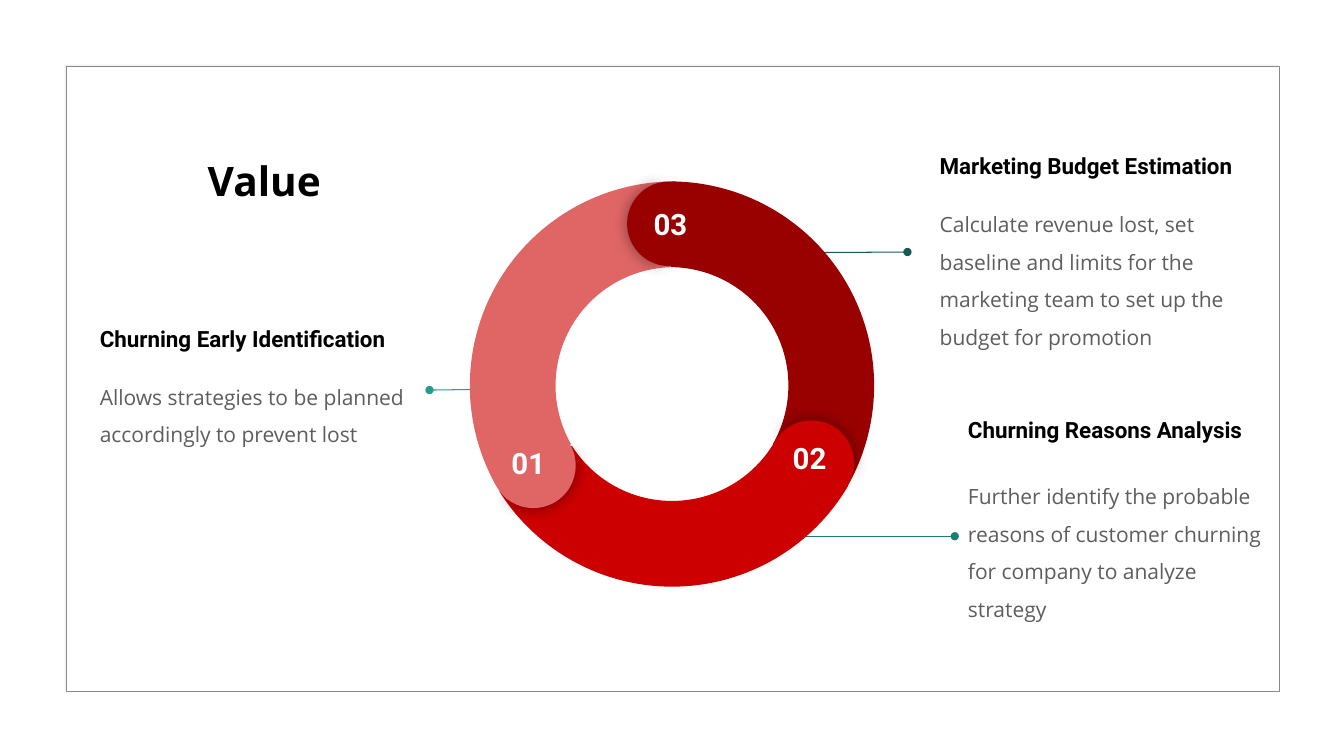
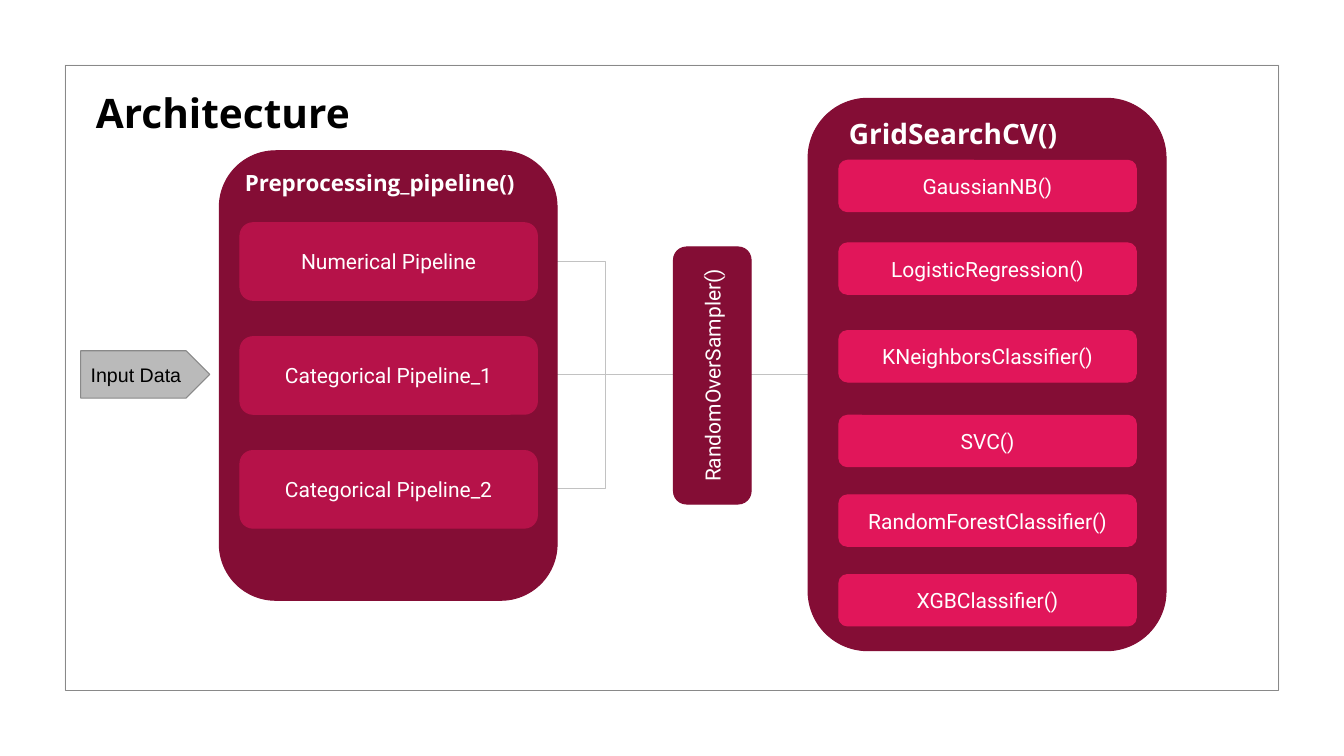
from lxml.etree import SubElement
from pptx import Presentation
from pptx.dml.color import RGBColor
from pptx.enum.shapes import MSO_CONNECTOR, MSO_SHAPE
from pptx.enum.text import MSO_ANCHOR, MSO_AUTO_SIZE, PP_ALIGN
from pptx.oxml.ns import qn
from pptx.util import Pt

PX = 9144
HUES = {
    "white": "FFFFFF", "black": "000000", "mist": "F2F2F2", "edge": "898989",
    "gray": "5D5D5D", "silver": "BABABA", "wire": "C2C2C2",
    "mint": "249C90", "teal": "1D7E74", "pine": "155B54",
    "maroon": "990000", "red": "CC0000", "coral": "E06666",
    "wine": "840D35", "rose": "B61249", "pink": "E1165A",
}


class Deck:
    def __init__(self):
        self.prs = Presentation()
        self.prs.slide_width = 1333 * PX
        self.prs.slide_height = 750 * PX
        self.slide = None

    def color(self, name):
        return RGBColor.from_string(HUES[name])

    def page(self, title, box, inset):
        self.slide = self.prs.slides.add_slide(self.prs.slide_layouts[5])
        self.shape(MSO_SHAPE.RECTANGLE, (64, 64, 1205, 621), "mist")
        panel = self.shape(MSO_SHAPE.RECTANGLE, (inset, inset, 1203, 620), "white", "edge")
        head = self.slide.shapes.title
        panel.element.addnext(head.element)
        head.left, head.top, head.width, head.height = (n * PX for n in box)
        self.frame(head, 10)
        self.style(head.text_frame.paragraphs[0], title, 29, "Open Sans", "black", True)

    def frame(self, shape, pad, anchor=MSO_ANCHOR.TOP):
        frame = shape.text_frame
        frame.word_wrap = True
        frame.auto_size = MSO_AUTO_SIZE.NONE
        frame.vertical_anchor = anchor
        frame.margin_left = frame.margin_right = pad * PX
        frame.margin_top = frame.margin_bottom = pad * PX
        return frame

    def style(self, para, text, size, face, hue, bold=False, align=PP_ALIGN.LEFT):
        para.text = text
        para.alignment = align
        for run in para.runs:
            run.font.size = Pt(size)
            run.font.name = face
            run.font.bold = bold
            run.font.color.rgb = self.color(hue)

    def shape(self, kind, box, fill, line=None, spin=0, bends=(), glow=False):
        shape = self.slide.shapes.add_shape(kind, *(n * PX for n in box))
        shape.rotation = spin
        for i, bend in enumerate(bends):
            shape.adjustments[i] = bend
        shape.fill.solid()
        shape.fill.fore_color.rgb = self.color(fill)
        if line:
            shape.line.color.rgb = self.color(line)
            shape.line.width = Pt(0.75)
        else:
            shape.line.fill.background()
        shape.shadow.inherit = False
        if glow:
            fx = shape.element.spPr.find(qn("a:effectLst"))
            cast = SubElement(fx, qn("a:outerShdw"), blurRad=str(Pt(11.2)), dist="0",
                              dir="0", algn="ctr", rotWithShape="0")
            tint = SubElement(cast, qn("a:srgbClr"), val=HUES["black"])
            SubElement(tint, qn("a:alpha"), val="43000")
        return shape

    def block(self, box, fill, text=None, spin=0):
        shape = self.shape(MSO_SHAPE.ROUNDED_RECTANGLE, box, fill, fill, spin)
        if text:
            frame = self.frame(shape, 13, MSO_ANCHOR.MIDDLE)
            self.style(frame.paragraphs[0], text, 15, "Roboto", "white", align=PP_ALIGN.CENTER)

    def label(self, box, text, size, face="Open Sans", pad=10, align=PP_ALIGN.LEFT):
        area = self.slide.shapes.add_textbox(*(n * PX for n in box))
        frame = self.frame(area, pad)
        self.style(frame.paragraphs[0], text, size, face, "white", True, align)

    def note(self, box, head, body, gap):
        area = self.slide.shapes.add_textbox(*(n * PX for n in box))
        frame = self.frame(area, 13, MSO_ANCHOR.MIDDLE)
        self.style(frame.paragraphs[0], head, 16, "Roboto", "black", True)
        para = frame.add_paragraph()
        self.style(para, body, 15, "Open Sans", "gray")
        para.line_spacing = Pt(26.9)
        para.space_before = Pt(gap)

    def link(self, start, end, hue, dot=False):
        kind = MSO_CONNECTOR.STRAIGHT if dot or start[1] == end[1] else MSO_CONNECTOR.ELBOW
        wire = self.slide.shapes.add_connector(kind, *(n * PX for n in start + end))
        wire.line.color.rgb = self.color(hue)
        wire.line.width = Pt(0.75)
        props = wire.element.spPr
        if dot:
            SubElement(props.find(qn("a:ln")), qn("a:tailEnd"), type="oval")
        SubElement(props, qn("a:effectLst"))


def value(deck):
    deck.page("Value", (196, 145, 257, 72), 66)
    notes = [
        ((86, 289, 335, 188), "Churning Early Identification",
         "Allows strategies to be planned accordingly to prevent lost",
         14.3, (498, 386), (426, 387), "mint"),
        ((919, 155, 333, 188), "Marketing Budget Estimation",
         "Calculate revenue lost, set baseline and limits for the marketing team "
         "to set up the budget for promotion",
         14.3, (740, 251), (900, 250), "pine"),
        ((947, 421, 321, 188), "Churning Reasons Analysis",
         "Further identify the probable reasons of customer churning for company "
         "to analyze strategy",
         20, (760, 532), (947, 532), "teal"),
    ]
    for box, head, body, gap, start, end, hue in notes:
        deck.note(box, head, body, gap)
        deck.link(start, end, hue, True)

    arcs = [
        (462, 180, 60, "maroon", 197.82),
        (464, 177, 180, "red", 196.63),
        (466, 180, 300, "coral", 197.03),
    ]
    for left, top, spin, hue, stop in arcs:
        deck.shape(MSO_SHAPE.BLOCK_ARC, (left, top, 405, 405), hue, spin=spin,
                   bends=(126.23, stop, 0.21))

    caps = [(487, 420, 240, "coral"), (622, 180, 0, "maroon"), (763, 417, 120, "red")]
    for left, top, spin, hue in caps:
        box = (left, top, 84, 84)
        deck.shape(MSO_SHAPE.PIE, box, hue, spin=spin + 0.7, bends=(61.9, 149.96), glow=True)
        deck.shape(MSO_SHAPE.PIE, box, hue, spin=(spin + 180) % 360, bends=(40.28, 171.84))

    for left, top, text in [(628, 191, "03"), (487, 429, "01"), (766, 424, "02")]:
        deck.label((left, top, 74, 39), text, 21, "Roboto", 13, PP_ALIGN.CENTER)


def design(deck):
    deck.page("Architecture", (85, 77, 447, 72), 65)
    for level in (485, 259, 372):
        deck.link((532, level), (669, 372), "wire")
    deck.link((745, 372), (802, 372), "wire")
    deck.block((579, 334, 255, 77), "wine", "RandomOverSampler()", 270)

    deck.block((162, 205, 446, 335), "wine", spin=270)
    steps = ["Numerical Pipeline", "Categorical Pipeline_1", "Categorical Pipeline_2"]
    for i, text in enumerate(steps):
        deck.block((238, 221 + 113 * i, 295, 77), "rose", text)
    deck.label((233, 158, 415, 47), "Preprocessing_pipeline()", 16)

    deck.block((705, 194, 548, 355), "wine", spin=270)
    models = [
        (159, "GaussianNB()"), (241, "LogisticRegression()"),
        (328, "KNeighborsClassifier()"), (412, "SVC()"),
        (491, "RandomForestClassifier()"), (570, "XGBClassifier()"),
    ]
    for top, text in models:
        deck.block((832, top, 295, 51), "pink", text)
    deck.label((832, 106, 415, 54), "GridSearchCV()", 20)

    feed = deck.shape(MSO_SHAPE.PENTAGON, (80, 348, 128, 47), "silver", "edge")
    frame = deck.frame(feed, 10, MSO_ANCHOR.MIDDLE)
    deck.style(frame.paragraphs[0], "Input Data", 14, "Arial", "black")


def main():
    deck = Deck()
    value(deck)
    design(deck)
    deck.prs.save("out.pptx")


if __name__ == "__main__":
    main()
